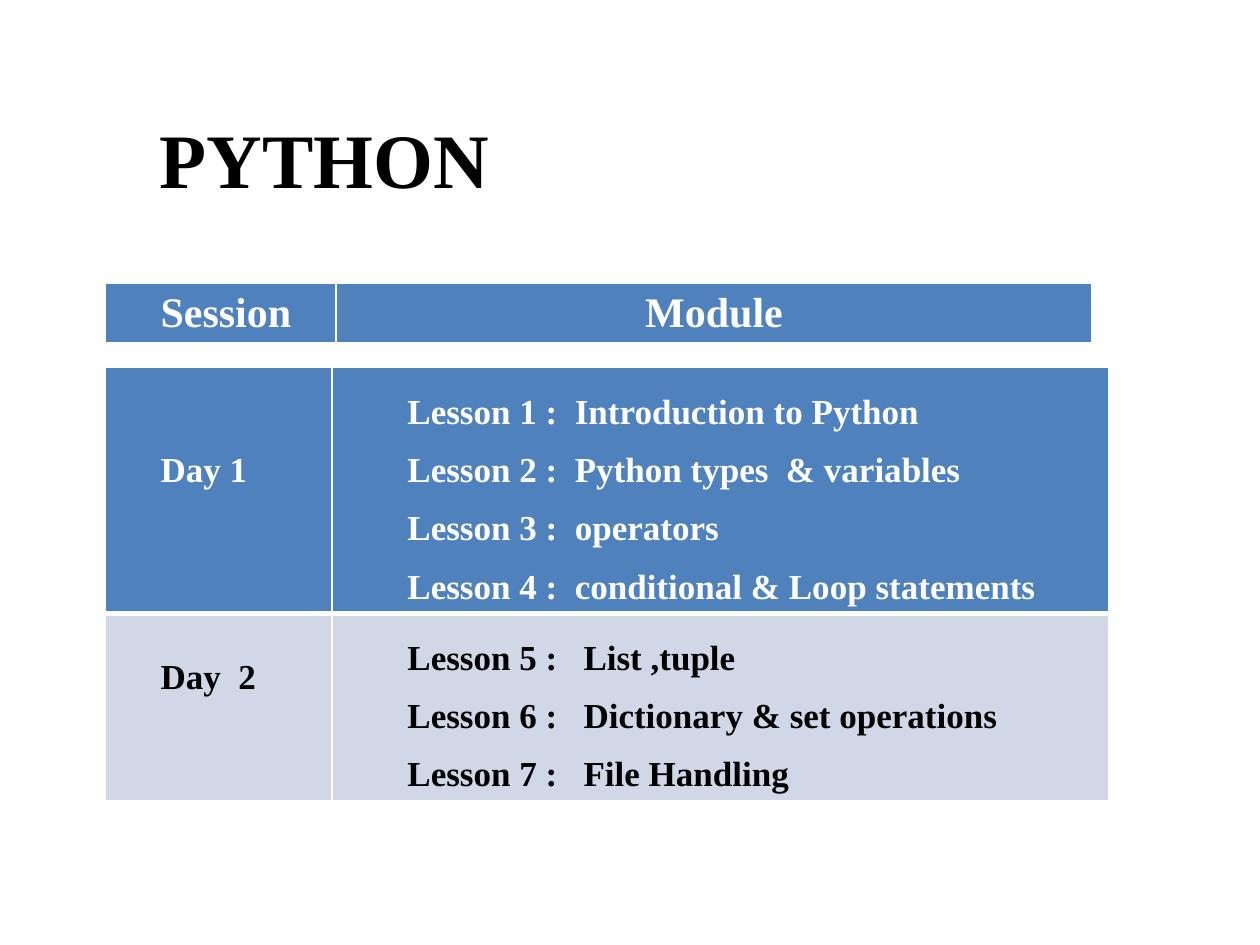
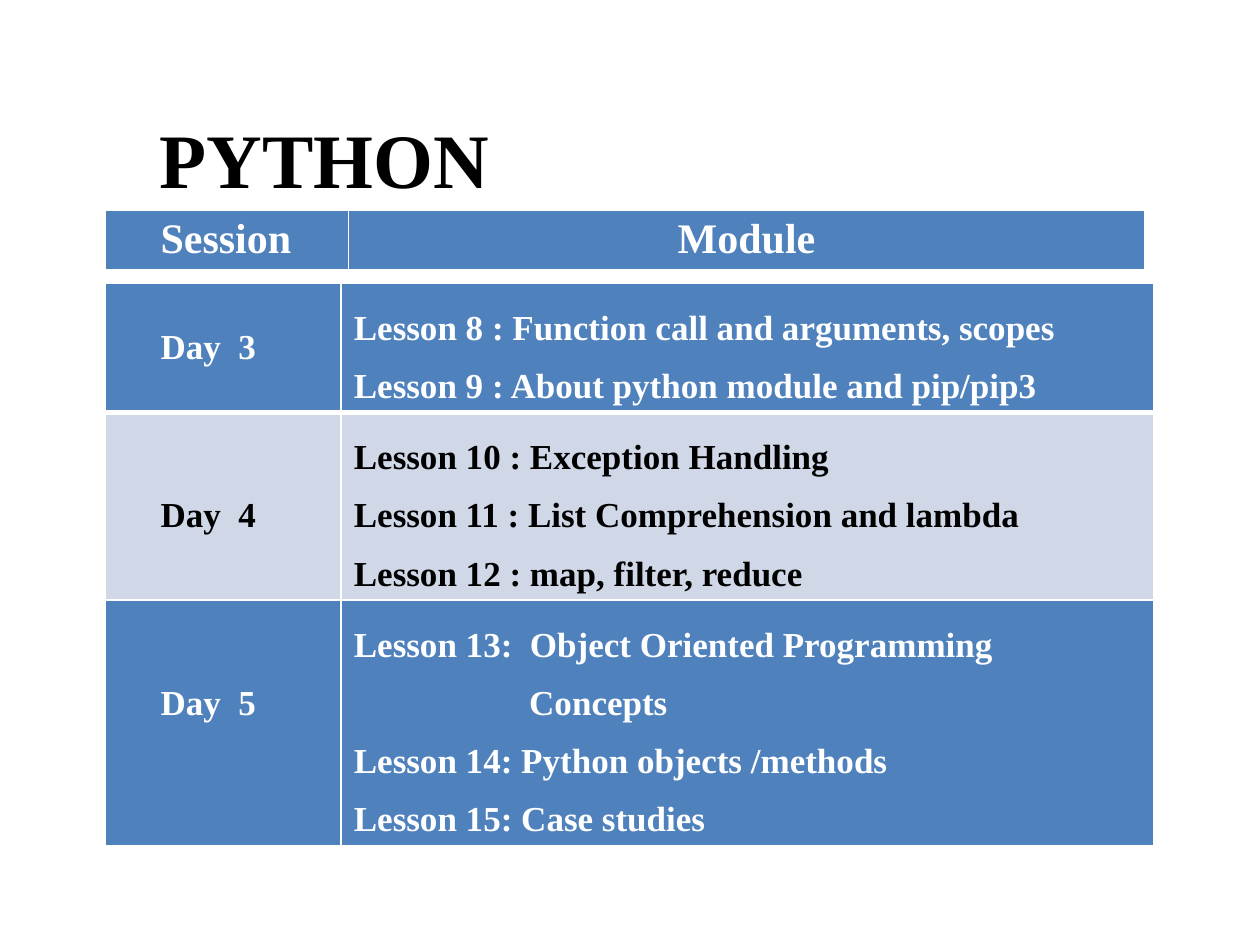
from dataclasses import dataclass
from pptx import Presentation, util as u
from pptx.dml.color import RGBColor
from pptx.enum import text
from pptx.oxml import parse_xml
from pptx.oxml.ns import nsdecls

# Shared look
FONT = "Times New Roman"
BLACK = RGBColor(0x00, 0x00, 0x00)
WHITE = RGBColor(0xFF, 0xFF, 0xFF)
BLUE = RGBColor(0x4F, 0x81, 0xBD)
PALE = RGBColor(0xD0, 0xD8, 0xE8)

# Grid of 120 columns by 90 rows
WIDTH, HEIGHT = u.Inches(10), u.Inches(7.5)
COLS, ROWS = 120, 90
LEFT = 10
PAD = 0.6        # top and bottom cell margin
INSET = 5.3      # left margin of the session column
LINE = 5.55      # height of one lesson line
DROP = 3.7       # one step down for a day label
HEAD = 5.8       # height of the heading row


@dataclass
class Day:
    name: str
    drop: int            # steps the label sits below the cell top
    lessons: list[str]


@dataclass
class Plan:
    head_top: float
    head_cols: tuple[float, float]
    body_top: float
    body_cols: tuple[float, float]
    inset: float         # left margin of the lessons
    days: list[Day]


HANG = "Concepts"        # second line of lesson 13
PLANS = [
    Plan(27, (22, 72), 35, (21.6, 74), 7.2, [
        Day("Day 1", 2, ["Lesson 1 :  Introduction to Python",
                         "Lesson 2 :  Python types  & variables",
                         "Lesson 3 :  operators",
                         "Lesson 4 :  conditional & Loop statements"]),
        Day("Day  2", 1, ["Lesson 5 :   List ,tuple",
                          "Lesson 6 :   Dictionary & set operations",
                          "Lesson 7 :   File Handling"]),
    ]),
    Plan(20, (23.2, 75.8), 27, (22.5, 77.4), 1.2, [
        Day("Day  3", 1, ["Lesson 8 : Function call and arguments, scopes",
                          "Lesson 9 : About python module and pip/pip3"]),
        Day("Day  4", 2, ["Lesson 10 : Exception Handling",
                          "Lesson 11 : List Comprehension and lambda",
                          "Lesson 12 : map, filter, reduce"]),
        Day("Day  5", 2, ["Lesson 13:  Object Oriented Programming",
                          HANG,
                          "Lesson 14: Python objects /methods",
                          "Lesson 15: Case studies"]),
    ]),
]


def across(cols: float) -> int:
    return round(WIDTH * cols / COLS)


def down(rows: float) -> int:
    return round(HEIGHT * rows / ROWS)


def style(para, size: float, color: RGBColor) -> None:
    font = para.font
    font.name, font.size, font.bold = FONT, u.Pt(size), True
    font.color.rgb = color


def edge(cell, base: float) -> None:
    """Rule the cell in white, with its own bottom width in points."""
    props = cell._tc.get_or_add_tcPr()
    sides = {"lnL": 1, "lnR": 1, "lnT": 1, "lnB": base}
    for spot, (tag, size) in enumerate(sides.items()):
        props.insert(spot, parse_xml(
            f'<a:{tag} {nsdecls("a")} w="{u.Pt(size)}"><a:solidFill>'
            f'<a:srgbClr val="{WHITE}"/></a:solidFill></a:{tag}>'))


def write(cell, lines: list[str], size: float, color: RGBColor,
          fill: RGBColor, left: float, top: float = PAD, base: float = 1) -> list:
    cell.fill.solid()
    cell.fill.fore_color.rgb = fill
    edge(cell, base)
    cell.margin_left = across(left)
    cell.margin_top, cell.margin_bottom = down(top), down(PAD)
    frame = cell.text_frame
    frame.text = "\n".join(lines)
    for para in frame.paragraphs:
        style(para, size, color)
    return list(frame.paragraphs)


def grid(slide, top: float, cols: tuple[float, float], rows: list[float]):
    frame = slide.shapes.add_table(len(rows), len(cols), across(LEFT), down(top),
                                   across(sum(cols)), down(sum(rows)))
    table = frame.table
    for col, wide in zip(table.columns, cols):
        col.width = across(wide)
    for row, high in zip(table.rows, rows):
        row.height = down(high)
    return table


def title(slide) -> None:
    shape = slide.shapes.title
    shape.left, shape.top = across(14), down(9)
    shape.width, shape.height = across(102), down(18)
    frame = shape.text_frame
    frame.text = "PYTHON"
    frame.auto_size = text.MSO_AUTO_SIZE.NONE
    frame.vertical_anchor = text.MSO_ANCHOR.TOP
    frame.margin_top = down(1.6)
    para = frame.paragraphs[0]
    para.alignment = text.PP_ALIGN.LEFT
    style(para, 44, BLACK)


def body(slide, plan: Plan) -> None:
    rows = [LINE * len(day.lessons) + 2 * PAD for day in plan.days]
    table = grid(slide, plan.body_top, plan.body_cols, rows)
    for row, day in enumerate(plan.days):
        fill, color = (PALE, BLACK) if row % 2 else (BLUE, WHITE)
        base = 1 if row else 3
        write(table.cell(row, 0), [day.name], 20, color, fill, INSET,
              PAD + DROP * day.drop, base)
        for para in write(table.cell(row, 1), day.lessons, 20, color, fill,
                          plan.inset, base=base):
            para.line_spacing = 1.5
            if para.text == HANG:
                para._p.get_or_add_pPr().set("marL", str(across(16.7)))


def head(slide, plan: Plan) -> None:
    table = grid(slide, plan.head_top, plan.head_cols, [HEAD])
    write(table.cell(0, 0), ["Session"], 24, WHITE, BLUE, INSET, base=3)
    para, = write(table.cell(0, 1), ["Module"], 24, WHITE, BLUE, 1.2, base=3)
    para.alignment = text.PP_ALIGN.CENTER


def main() -> None:
    deck = Presentation()
    deck.slide_width, deck.slide_height = WIDTH, HEIGHT
    for plan in PLANS:
        slide = deck.slides.add_slide(deck.slide_layouts[5])  # title only
        title(slide)
        body(slide, plan)
        head(slide, plan)
    deck.save("out.pptx")


if __name__ == "__main__":
    main()
